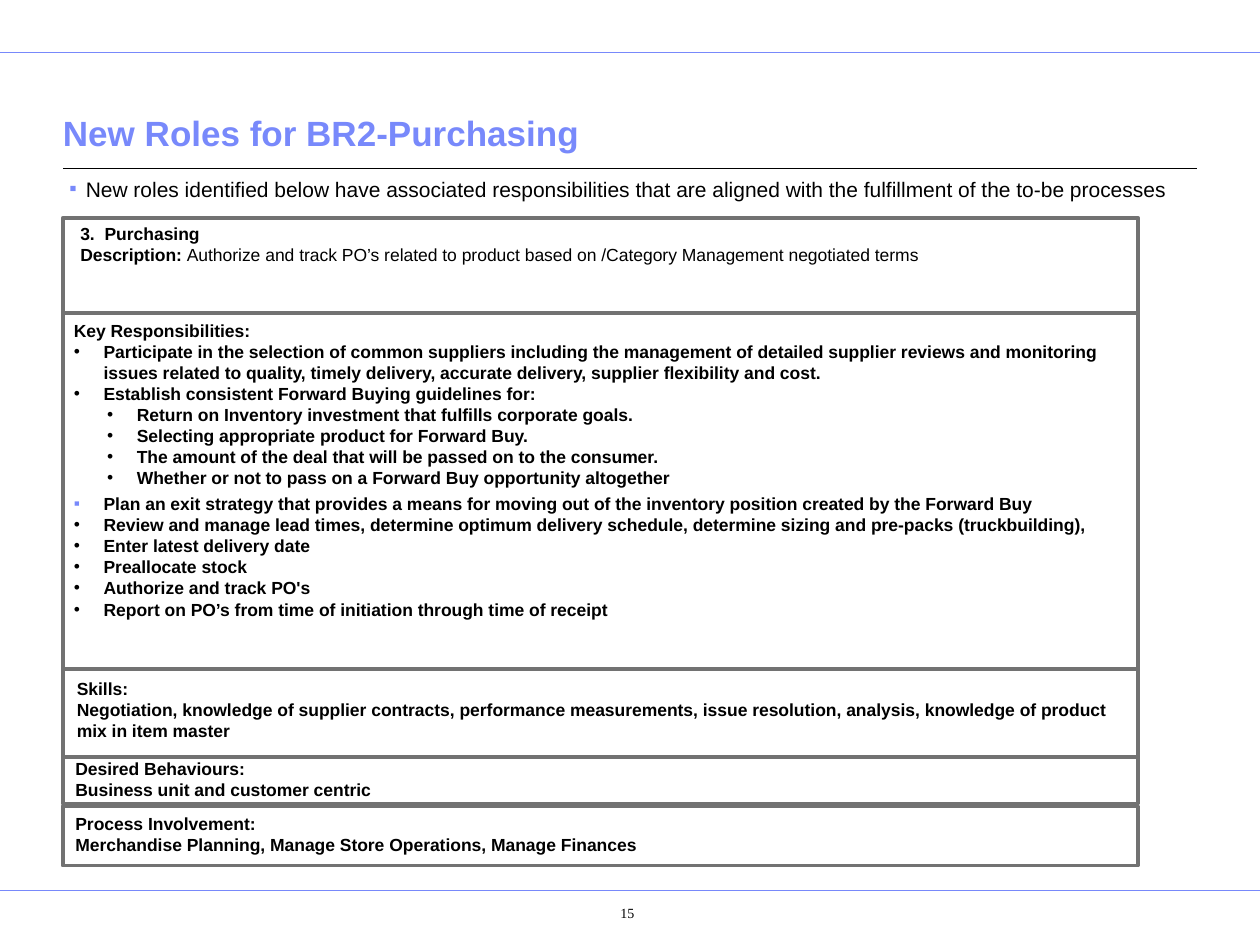
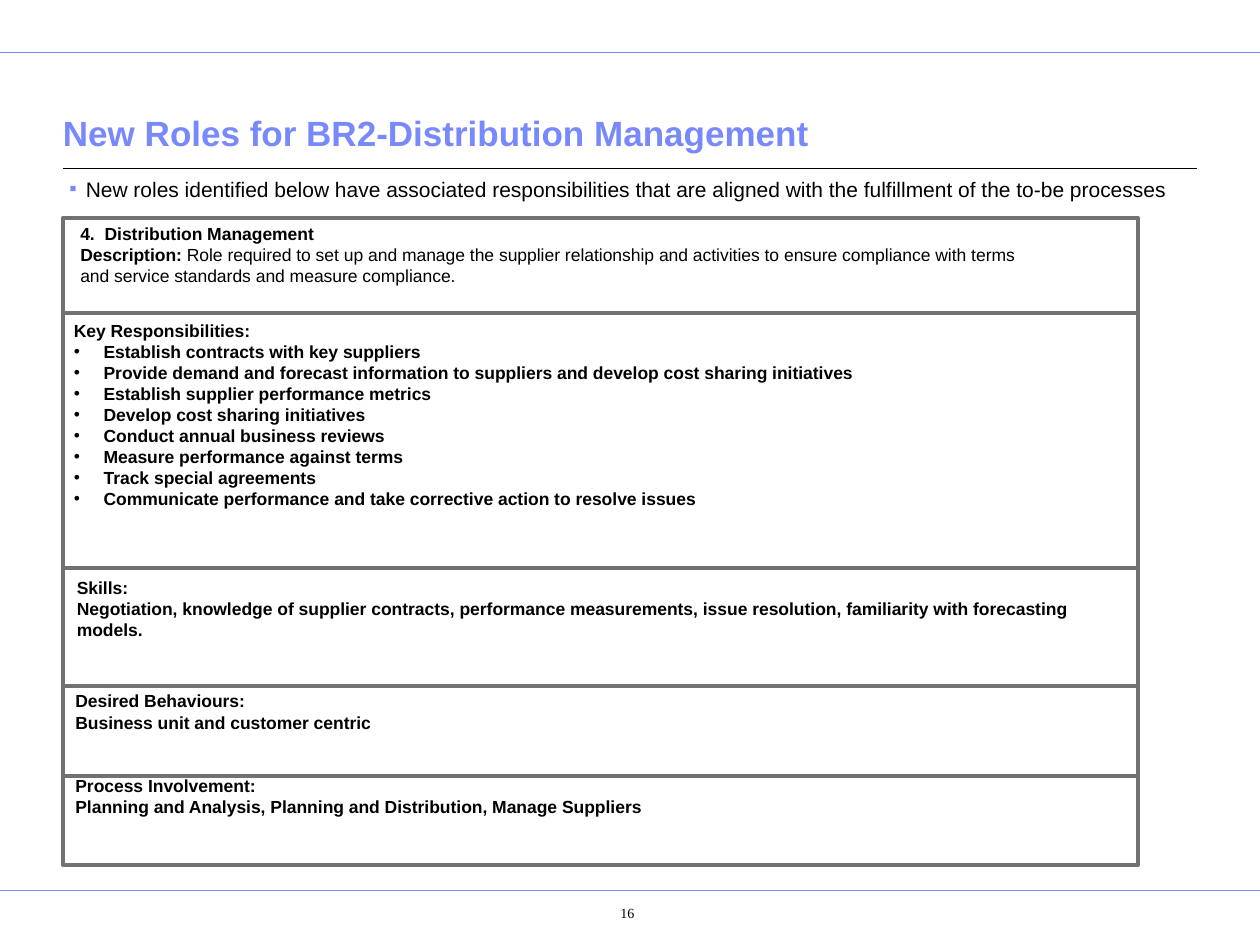
from pptx import Presentation
from pptx.dml.color import RGBColor
from pptx.enum.shapes import MSO_CONNECTOR, MSO_SHAPE
from pptx.enum.text import MSO_ANCHOR, MSO_AUTO_SIZE, PP_ALIGN
from pptx.oxml.ns import qn
from pptx.util import Cm, Pt
from lxml.etree import SubElement

BLUE, BLACK, GRAY = "7889FB", "000000", "727272"

INTRO = ("New roles identified below have associated responsibilities that are "
         "aligned with the fulfillment of the to-be processes")

ROLES = [
    {
        "title": "New Roles for BR2-Purchasing",
        "page": "15",
        "role": "3.\tPurchasing",
        "description": "Authorize and track PO’s related to product based on "
                       "/Category Management negotiated terms",
        "responsibilities": [
            ("bullet", "Participate in the selection of common suppliers including the management "
                       "of detailed supplier reviews and monitoring issues related to quality, "
                       "timely delivery, accurate delivery, supplier flexibility and cost."),
            ("bullet", "Establish consistent Forward Buying guidelines for:"),
            ("sub", "Return on Inventory investment that fulfills corporate goals."),
            ("sub", "Selecting appropriate product for Forward Buy."),
            ("sub", "The amount of the deal that will be passed on to the consumer."),
            ("sub", "Whether or not to pass on a Forward Buy opportunity altogether"),
            ("square", "Plan an exit strategy that provides a means for moving out of the "
                       "inventory position created by the Forward Buy"),
            ("bullet", "Review and manage lead times, determine optimum delivery schedule, "
                       "determine sizing and pre-packs (truckbuilding),"),
            ("bullet", "Enter latest delivery date"),
            ("bullet", "Preallocate stock"),
            ("bullet", "Authorize and track PO's"),
            ("bullet", "Report on PO’s from time of initiation through time of receipt"),
        ],
        "skills": "Negotiation, knowledge of supplier contracts, performance measurements, "
                  "issue resolution, analysis, knowledge of product mix in item master",
        "behaviours": "Business unit and customer centric",
        "processes": "Merchandise Planning, Manage Store Operations, Manage Finances",
        "row_heights": [1.93, 7.16, 1.78, 0.94, 1.2],
        "gap_before_last": 0.05,
        "text_lines": [2, 14, 3, 2, 2],
        "text_shifts": [-0.03, 0, 0.05, -0.1, 0],
    },
    {
        "title": "New Roles for BR2-Distribution Management",
        "page": "16",
        "role": "4.\tDistribution Management",
        "description": "Role required to set up and manage the supplier relationship and "
                       "activities to ensure compliance with terms and service standards "
                       "and measure compliance.",
        "responsibilities": [
            ("bullet", "Establish contracts with key suppliers"),
            ("bullet", "Provide demand and forecast information to suppliers and develop "
                       "cost sharing initiatives"),
            ("bullet", "Establish supplier performance metrics"),
            ("bullet", "Develop cost sharing initiatives"),
            ("bullet", "Conduct annual business reviews"),
            ("bullet", "Measure performance against terms"),
            ("bullet", "Track special agreements"),
            ("bullet", "Communicate performance and take corrective action to resolve issues"),
        ],
        "skills": "Negotiation, knowledge of supplier contracts, performance measurements, "
                  "issue resolution, familiarity with forecasting models.",
        "behaviours": "Business unit and customer centric",
        "processes": "Planning and Analysis, Planning and Distribution, Manage Suppliers",
        "row_heights": [1.93, 5.13, 2.39, 1.8, 1.8],
        "gap_before_last": 0,
        "text_lines": [3, 9, 3, 2, 2],
        "text_shifts": [-0.03, 0, 0.05, -0.05, -0.15],
    },
]

RULES = [(0, 25.4, 1.06, BLUE, 0.5), (0, 25.4, 17.96, BLUE, 0.5), (1.27, 24.13, 3.4, BLACK, 0.75)]

ROW_LEFT, ROW_TOP, ROW_WIDTH = 1.27, 4.39, 21.67
LINE_HEIGHT = 0.42
TEXT_COLUMNS = [(0.1, 19.43), (-0.03, 21.69), (0.03, 21.64), (0, 6.5), (0, 21.64)]

BULLETS = {
    "plain": None,
    "numbered": None,
    "bullet": ("•", BLACK, 0.6, 0.6),
    "sub": ("•", BLACK, 1.27, 0.6),
    "square": ("▪", BLUE, 0.6, 0.6),
    "intro": ("▪", BLUE, 0.33, 0.33),
}
SPACING = {
    "square": {"line_spacing": 1.04, "space_before": Pt(2.5)},
    "intro": {"line_spacing": 1.04},
}
TITLE_FONT = {"name": "Arial", "size": Pt(20), "bold": True}
INTRO_FONT = {"name": "Arial", "size": Pt(12), "bold": False}
ROW_FONT = {"name": "Arial", "size": Pt(10), "bold": True}
PAGE_FONT = {"name": "Times New Roman", "size": Pt(8), "bold": False}


def rgb(color):
    return RGBColor.from_string(color)


def apply(target, values):
    for key, value in values.items():
        setattr(target, key, value)


def add_marks(paragraph, style):
    properties = paragraph._p.get_or_add_pPr()
    if BULLETS[style]:
        symbol, color, margin, hang = BULLETS[style]
        properties.set("marL", str(Cm(margin)))
        properties.set("indent", str(-Cm(hang)))
        SubElement(SubElement(properties, qn("a:buClr")), qn("a:srgbClr")).set("val", color)
        SubElement(properties, qn("a:buFont")).set("typeface", "Arial")
        SubElement(properties, qn("a:buChar")).set("char", symbol)
    elif style == "numbered":
        tab = SubElement(SubElement(properties, qn("a:tabLst")), qn("a:tab"))
        tab.set("pos", str(Cm(0.49)))
        tab.set("algn", "l")


def add_text(slide, place, paragraphs, font, color=BLACK, margins=(0.25, 0.13, 0.25, 0.13), **frame_values):
    frame = slide.shapes.add_textbox(*map(Cm, place)).text_frame
    sides = ("margin_left", "margin_top", "margin_right", "margin_bottom")
    apply(frame, dict(zip(sides, map(Cm, margins))))
    apply(frame, {"word_wrap": True, **frame_values})
    for index, (style, *runs) in enumerate(paragraphs):
        paragraph = frame.add_paragraph() if index else frame.paragraphs[0]
        add_marks(paragraph, style)
        apply(paragraph, SPACING.get(style, {}))
        for position, words in enumerate(runs):
            run = paragraph.add_run()
            run.text = words
            apply(run.font, {**font, "bold": font["bold"] and position == 0})
            run.font.color.rgb = rgb(color)
    return frame


def add_rule(slide, start, end, height, color, weight):
    rule = slide.shapes.add_connector(MSO_CONNECTOR.STRAIGHT, Cm(start), Cm(height), Cm(end), Cm(height))
    rule.line.color.rgb = rgb(color)
    rule.line.width = Pt(weight)
    SubElement(rule._element.spPr, qn("a:effectLst"))


def add_row(slide, top, height):
    row = slide.shapes.add_shape(MSO_SHAPE.RECTANGLE, Cm(ROW_LEFT), Cm(top), Cm(ROW_WIDTH), Cm(height))
    row.shadow.inherit = False
    row.fill.background()
    row.line.color.rgb = rgb(GRAY)
    row.line.width = Pt(2.25)


def add_frame(slide, title, page):
    for rule in RULES:
        add_rule(slide, *rule)
    add_text(slide, (1.27, 1.63, 22.86, 1.6), [("plain", title)], TITLE_FONT, BLUE,
             (0, 0.13, 0, 0.13), vertical_anchor=MSO_ANCHOR.BOTTOM)
    add_text(slide, (1.27, 3.4, 22.86, 14), [("intro", INTRO)], INTRO_FONT, margins=(0.13,) * 4)
    number = add_text(slide, (11.3, 18.06, 2.7, 0.89), [("plain", page)], PAGE_FONT,
                      margins=(0.25, 0.18, 0.25, 0.13))
    number.paragraphs[0].alignment = PP_ALIGN.CENTER


def add_role(slide, role):
    add_frame(slide, role["title"], role["page"])
    sections = [
        [("numbered", role["role"]), ("plain", "Description: ", role["description"])],
        [("plain", "Key Responsibilities:"), *role["responsibilities"]],
        [("plain", "Skills:"), ("plain", role["skills"])],
        [("plain", "Desired Behaviours:"), ("plain", role["behaviours"])],
        [("plain", "Process Involvement:"), ("plain", role["processes"])],
    ]
    top = ROW_TOP
    rows = zip(sections, role["row_heights"], role["text_lines"], role["text_shifts"], TEXT_COLUMNS)
    for section, height, lines, shift, (indent, width) in rows:
        if section is sections[-1]:
            top += role["gap_before_last"]
        add_row(slide, top, height)
        place = (ROW_LEFT + indent, top + shift, width, lines * LINE_HEIGHT + 0.26)
        add_text(slide, place, section, ROW_FONT, word_wrap=width > 10,
                 auto_size=MSO_AUTO_SIZE.SHAPE_TO_FIT_TEXT)
        top += height


def main():
    deck = Presentation()
    apply(deck, {"slide_width": Cm(25.4), "slide_height": Cm(19.05)})
    for role in ROLES:
        add_role(deck.slides.add_slide(deck.slide_layouts[6]), role)
    deck.save("out.pptx")


if __name__ == "__main__":
    main()
